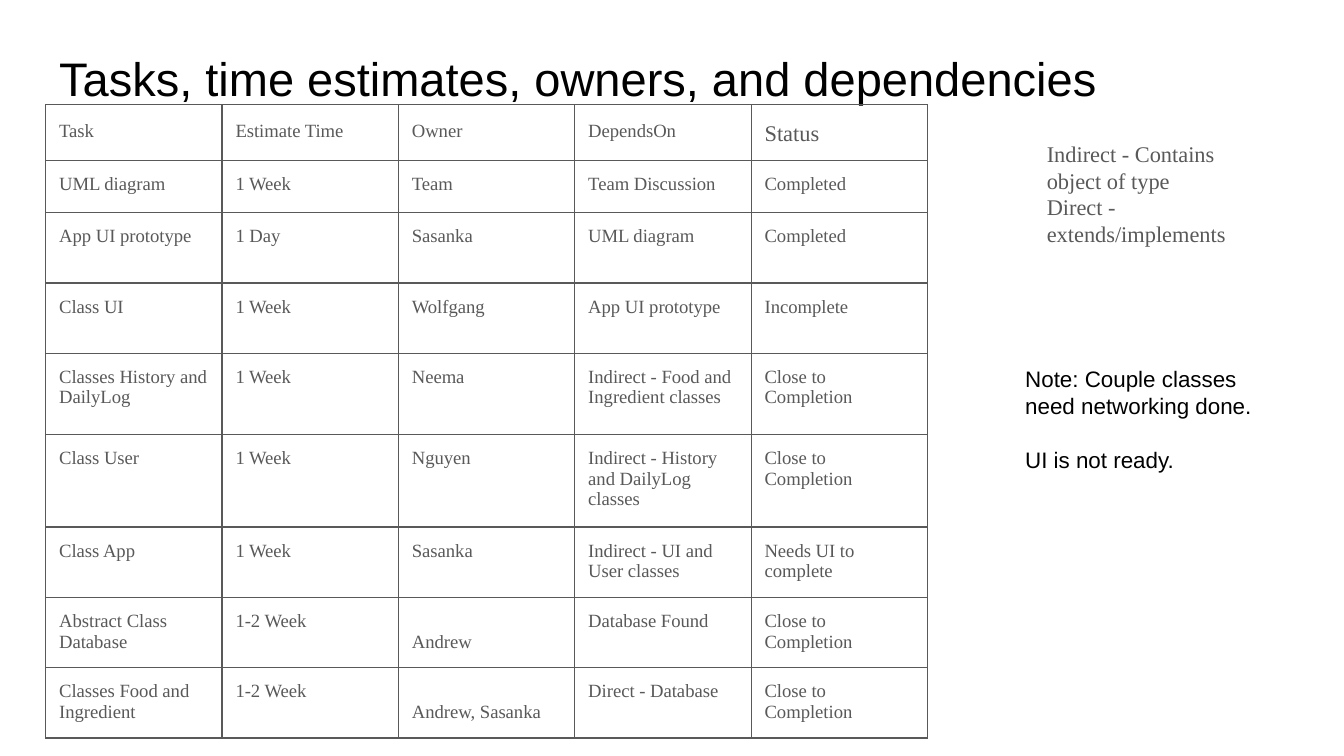
from lxml import etree
from pptx import Presentation
from pptx import util as u
from pptx.dml.color import RGBColor
from pptx.enum import text
from pptx.oxml import ns

BLACK = RGBColor(0x00, 0x00, 0x00)
GRAY = RGBColor(0x59, 0x59, 0x59)
SANS = "Arial"
SERIF = "Times New Roman"
INSET = u.Inches(0.1)

COLUMN_WIDTH = u.Pt(94.5)
ROW_POINTS = [28.1, 28.1, 37.7, 37.7, 43.5, 49.6, 37.7, 37.7, 37.7]
TASKS = [
    ("Task", "Estimate Time", "Owner", "DependsOn", "Status"),
    ("UML diagram", "1 Week", "Team", "Team Discussion", "Completed"),
    ("App UI prototype", "1 Day", "Sasanka", "UML diagram", "Completed"),
    ("Class UI", "1 Week", "Wolfgang", "App UI prototype", "Incomplete"),
    ("Classes History and DailyLog", "1 Week", "Neema",
     "Indirect - Food and Ingredient classes", "Close to Completion"),
    ("Class User", "1 Week", "Nguyen",
     "Indirect - History and DailyLog classes", "Close to Completion"),
    ("Class App", "1 Week", "Sasanka",
     "Indirect - UI and User classes", "Needs UI to complete"),
    ("Abstract Class Database", "1-2 Week", "Andrew",
     "Database Found", "Close to Completion"),
    ("Classes Food and Ingredient", "1-2 Week", "Andrew, Sasanka",
     "Direct - Database", "Close to Completion"),
]


def set_font(paragraph, name, size, color):
    paragraph.font.name = name
    paragraph.font.size = u.Pt(size)
    paragraph.font.color.rgb = color


def set_insets(holder):
    holder.margin_left = holder.margin_right = INSET
    holder.margin_top = holder.margin_bottom = INSET


def add_heading(slide, left, top, width, height):
    heading = slide.shapes.title
    heading.left, heading.top = u.Inches(left), u.Inches(top)
    heading.width, heading.height = u.Inches(width), u.Inches(height)
    frame = heading.text_frame
    frame.text = "Tasks, time estimates, owners, and dependencies"
    frame.word_wrap = True
    frame.auto_size = text.MSO_AUTO_SIZE.NONE
    frame.vertical_anchor = text.MSO_ANCHOR.TOP
    set_insets(frame)
    paragraph = frame.paragraphs[0]
    paragraph.alignment = text.PP_ALIGN.LEFT
    paragraph.line_spacing = 1.0
    paragraph.space_before = u.Pt(0)
    set_font(paragraph, SANS, 25.2, BLACK)


def add_borders(cell):
    properties = cell._tc.get_or_add_tcPr()
    for position, side in enumerate(("a:lnL", "a:lnR", "a:lnT", "a:lnB")):
        line = etree.Element(ns.qn(side), w=str(u.Pt(0.75)))
        fill = etree.SubElement(line, ns.qn("a:solidFill"))
        etree.SubElement(fill, ns.qn("a:srgbClr"), val=str(GRAY))
        properties.insert(position, line)


def add_task_table(slide, left, top):
    columns = len(TASKS[0])
    table = slide.shapes.add_table(
        len(TASKS), columns, u.Inches(left), u.Inches(top),
        columns * COLUMN_WIDTH, u.Pt(sum(ROW_POINTS))).table
    table.first_row = table.horz_banding = False
    for column in table.columns:
        column.width = COLUMN_WIDTH
    for row, height, entries in zip(table.rows, ROW_POINTS, TASKS):
        row.height = u.Pt(height)
        for cell, entry in zip(row.cells, entries):
            cell.text = entry
            cell.fill.background()
            cell.vertical_anchor = text.MSO_ANCHOR.TOP
            set_insets(cell)
            add_borders(cell)
            paragraph = cell.text_frame.paragraphs[0]
            set_font(paragraph, SERIF, 12 if entry == "Status" else 10, GRAY)
            if entries is TASKS[0]:
                paragraph.line_spacing = 1.15
                paragraph.space_after = u.Pt(12)
            elif entry.startswith("Andrew"):
                paragraph.line_spacing = 2.0


def add_note(slide, left, top, width, height, lines, font, color, gap=0):
    note = slide.shapes.add_textbox(
        u.Inches(left), u.Inches(top), u.Inches(width), u.Inches(height))
    frame = note.text_frame
    frame.text = "\n".join(lines)
    frame.word_wrap = True
    frame.auto_size = text.MSO_AUTO_SIZE.SHAPE_TO_FIT_TEXT
    set_insets(frame)
    for paragraph in frame.paragraphs:
        set_font(paragraph, font, 12, color)
    frame.paragraphs[-1].space_before = u.Pt(gap)


def main():
    deck = Presentation()
    deck.slide_width = u.Inches(10)
    deck.slide_height = deck.slide_width * 9 // 16
    slide = deck.slides.add_slide(deck.slide_layouts[5])
    add_heading(slide, 0.34, 0.27, 9.32, 0.63)
    add_task_table(slide, 0.34, 0.78)
    add_note(slide, 7.69, 0.94, 1.61, 1.01,
             ["Indirect - Contains object of type",
              "Direct - extends/implements"], SERIF, GRAY)
    add_note(slide, 7.53, 2.62, 2.04, 1.21,
             ["Note: Couple classes need networking done.",
              "UI is not ready."], SANS, BLACK, gap=14.4)
    deck.save("out.pptx")


if __name__ == "__main__":
    main()
